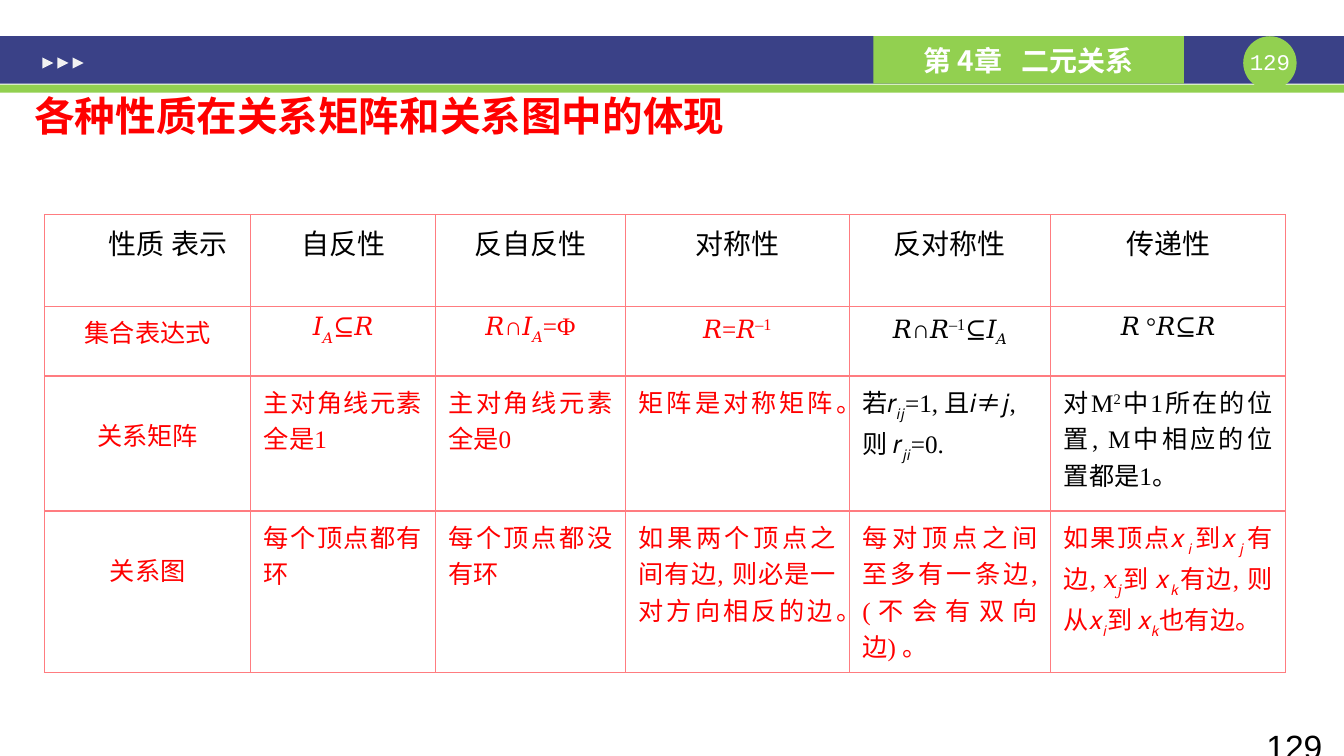
from typing import NamedTuple, Optional

from lxml.etree import SubElement
from pptx import Presentation
from pptx.dml.color import RGBColor
from pptx.enum.shapes import MSO_SHAPE
from pptx.enum.text import MSO_ANCHOR, PP_ALIGN
from pptx.oxml.ns import qn
from pptx.util import Pt

PX = 9144
NAVY = RGBColor(0x3A, 0x41, 0x87)
GREEN = RGBColor(0x92, 0xD0, 0x50)
RED = RGBColor(0xFF, 0x00, 0x00)
BLACK = RGBColor(0x00, 0x00, 0x00)
NEAR_BLACK = RGBColor(0x08, 0x08, 0x08)
WHITE = RGBColor(0xFF, 0xFF, 0xFF)
PALE_GRAY = RGBColor(0xF2, 0xF2, 0xF2)
BORDER_PINK = RGBColor(0xFF, 0x7C, 0x80)
CHINESE_FONT = "Noto Sans CJK SC"
SERIF_FONT = "Times New Roman"


class Piece(NamedTuple):
    text: str
    baseline: int = 0
    size: int = 18
    color: Optional[RGBColor] = None


def sub(text, baseline=-30):
    return Piece(text, baseline)


def sup(text, size=20, color=None):
    return Piece(text, 30, size, color)


COLUMN_WIDTHS = [205, 183, 189, 222, 200, 233]
ROW_HEIGHTS = [91, 69, 134, 160]
PROPERTY_NAMES = ["性质 表示", "自反性", "反自反性", "对称性", "反对称性", "传递性"]
ROW_LABELS = ["集合表达式", "关系矩阵", "关系图"]
EXPRESSIONS = [
    ["𝐼", sub("𝐴"), "⊆𝑅"],
    ["𝑅∩𝐼", sub("𝐴", -25), "=Φ"],
    ["𝑅=𝑅", sup("–1")],
    ["𝑅∩𝑅", sup("–1", color=NEAR_BLACK), "⊆𝐼", sub("𝐴", -25)],
    ["𝑅 ", Piece("°", color=NEAR_BLACK), "𝑅⊆𝑅"],
]
MATRIX_RULES = [
    ["主对角线元素全是1"],
    ["主对角线元素全是0"],
    ["矩阵是对称矩阵。"],
    ["若𝑟", sub("𝑖𝑗"), "=1, 且𝑖≠𝑗, 则 𝑟", sub("𝑗𝑖"), "=0."],
    ["对M", sup("2", 18), "中1所在的位置, M中相应的位置都是1。"],
]
GRAPH_RULES = [
    ["每个顶点都有环"],
    ["每个顶点都没有环"],
    ["如果两个顶点之间有边, 则必是一对方向相反的边。"],
    ["每对顶点之间至多有一条边, (不会有双向边) 。"],
    ["如果顶点𝑥", sub("𝑖"), "到𝑥", sub("𝑗"), "有边, 𝑥", sub("𝑗"), "到 𝑥", sub("𝑘"),
     "有边, 则从𝑥", sub("𝑖"), "到 𝑥", sub("𝑘"), "也有边。"],
]
BLACK_CELLS = {(1, 4), (1, 5), (2, 4), (2, 5)}


def format_run(run, size, color, font=SERIF_FONT, bold=False):
    run.font.size = Pt(size)
    run.font.bold = bold
    run.font.color.rgb = color
    run.font.name = font
    properties = run.font._element
    east_asian = SubElement(properties, qn("a:ea"), typeface=CHINESE_FONT)
    properties.find(qn("a:latin")).addnext(east_asian)


def set_margins(frame, horizontal, vertical):
    frame.margin_left = frame.margin_right = horizontal * PX
    frame.margin_top = frame.margin_bottom = vertical * PX


def add_block(slide, preset, left, top, width, height, color):
    shape = slide.shapes.add_shape(preset, left * PX, top * PX, width * PX, height * PX)
    shape.shadow.inherit = False
    shape.fill.solid()
    shape.fill.fore_color.rgb = color
    shape.line.fill.background()
    return shape


def add_text(slide, box, text, size, color, font, margins, bold=False, align=PP_ALIGN.LEFT):
    text_box = slide.shapes.add_textbox(*(length * PX for length in box))
    frame = text_box.text_frame
    frame.word_wrap = True
    set_margins(frame, *margins)
    frame.text = text
    paragraph = frame.paragraphs[0]
    paragraph.alignment = align
    format_run(paragraph.runs[0], size, color, font, bold)


def add_header(slide, left, top, width):
    add_block(slide, MSO_SHAPE.RECTANGLE, left, top, width, 47, NAVY)
    add_block(slide, MSO_SHAPE.RECTANGLE, left, top + 48, width, 8, GREEN)
    add_block(slide, MSO_SHAPE.OVAL, left + 1234, top, 53, 53, GREEN)
    add_text(slide, (left + 1234, top + 12, 53, 27), "129", 16, WHITE, "Courier New",
             (0, 0), align=PP_ALIGN.CENTER)
    chapter = add_block(slide, MSO_SHAPE.RECTANGLE, left + 867, top, 308, 47, GREEN)
    chapter.text_frame.vertical_anchor = MSO_ANCHOR.MIDDLE
    paragraph = chapter.text_frame.paragraphs[0]
    paragraph.alignment = PP_ALIGN.CENTER
    for text in ("第 4章", " ", "二元关系"):
        run = paragraph.add_run()
        run.text = text
        format_run(run, 20, WHITE, CHINESE_FONT, True)
        if text == " ":
            run.font._element.set("spc", "900")
    for index in range(3):
        arrow = add_block(slide, MSO_SHAPE.ISOSCELES_TRIANGLE,
                          left + 42 + 15 * index, top + 21, 11, 11, PALE_GRAY)
        arrow.rotation = 90


def style_cell(cell):
    properties = cell._tc.get_or_add_tcPr()
    for side in ("a:lnL", "a:lnR", "a:lnT", "a:lnB"):
        line = SubElement(properties, qn(side), w=str(Pt(1)))
        fill = SubElement(line, qn("a:solidFill"))
        SubElement(fill, qn("a:srgbClr"), val=str(BORDER_PINK))
    cell.fill.background()
    set_margins(cell, 13, 5)
    cell.margin_top = 7 * PX


def fill_cell(cell, pieces, color, align):
    paragraph = cell.text_frame.paragraphs[0]
    paragraph.alignment = align
    for item in pieces:
        piece = Piece(item) if isinstance(item, str) else item
        run = paragraph.add_run()
        run.text = piece.text
        format_run(run, piece.size, piece.color or color)
        if piece.baseline:
            run.font._element.set("baseline", str(piece.baseline * 1000))


def add_property_table(slide, left, top):
    frame = slide.shapes.add_table(
        len(ROW_HEIGHTS), len(COLUMN_WIDTHS), left * PX, top * PX,
        sum(COLUMN_WIDTHS) * PX, sum(ROW_HEIGHTS) * PX)
    table = frame.table
    table.first_row = table.horz_banding = False
    for column, width in zip(table.columns, COLUMN_WIDTHS):
        column.width = width * PX
    for row, height in zip(table.rows, ROW_HEIGHTS):
        row.height = height * PX
    header = [[Piece(name, size=20)] for name in PROPERTY_NAMES]
    bodies = [EXPRESSIONS, MATRIX_RULES, GRAPH_RULES]
    rows = [header] + [[[label]] + body for label, body in zip(ROW_LABELS, bodies)]
    for row_index, row in enumerate(rows):
        for column_index, pieces in enumerate(row):
            cell = table.cell(row_index, column_index)
            position = (row_index, column_index)
            style_cell(cell)
            color = BLACK if row_index == 0 or position in BLACK_CELLS else RED
            align = PP_ALIGN.CENTER
            if row_index > 1 and column_index > 0:
                align = PP_ALIGN.JUSTIFY
            if position in {(0, 0), (2, 4)}:
                align = PP_ALIGN.LEFT
            fill_cell(cell, pieces, color, align)
            if row_index > 1 and column_index == 0:
                cell.margin_top = 40 * PX
    table.cell(0, 0).margin_left = 64 * PX


def main():
    presentation = Presentation()
    presentation.slide_width = 1334 * PX
    presentation.slide_height = 750 * PX
    slide = presentation.slides.add_slide(presentation.slide_layouts[6])
    add_header(slide, 0, 36, 1334)
    add_property_table(slide, 44, 213)
    add_text(slide, (22, 84, 1267, 70), "各种性质在关系矩阵和关系图中的体现",
             29, RED, CHINESE_FONT, (12, 6), bold=True)
    add_text(slide, (1245, 714, 89, 36), "129", 24, BLACK, "Arial", (12, 6))
    presentation.save("out.pptx")


if __name__ == "__main__":
    main()
